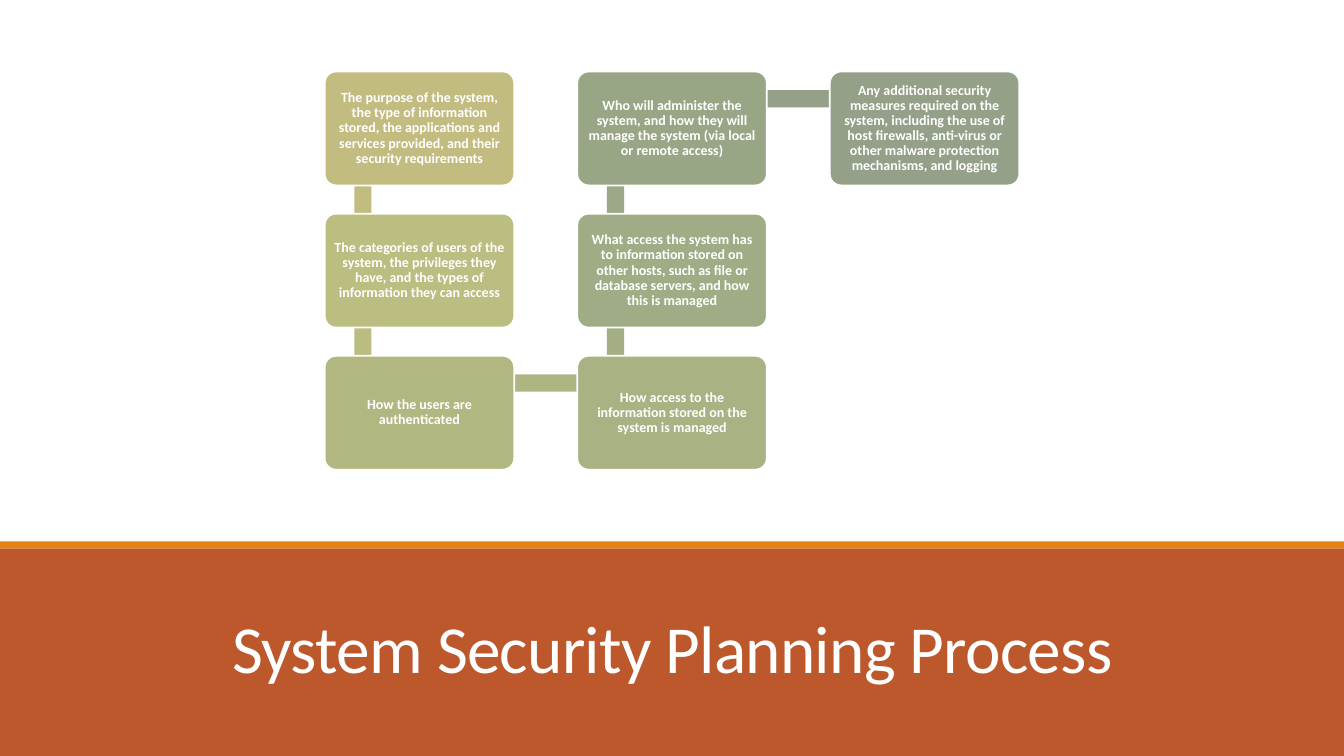
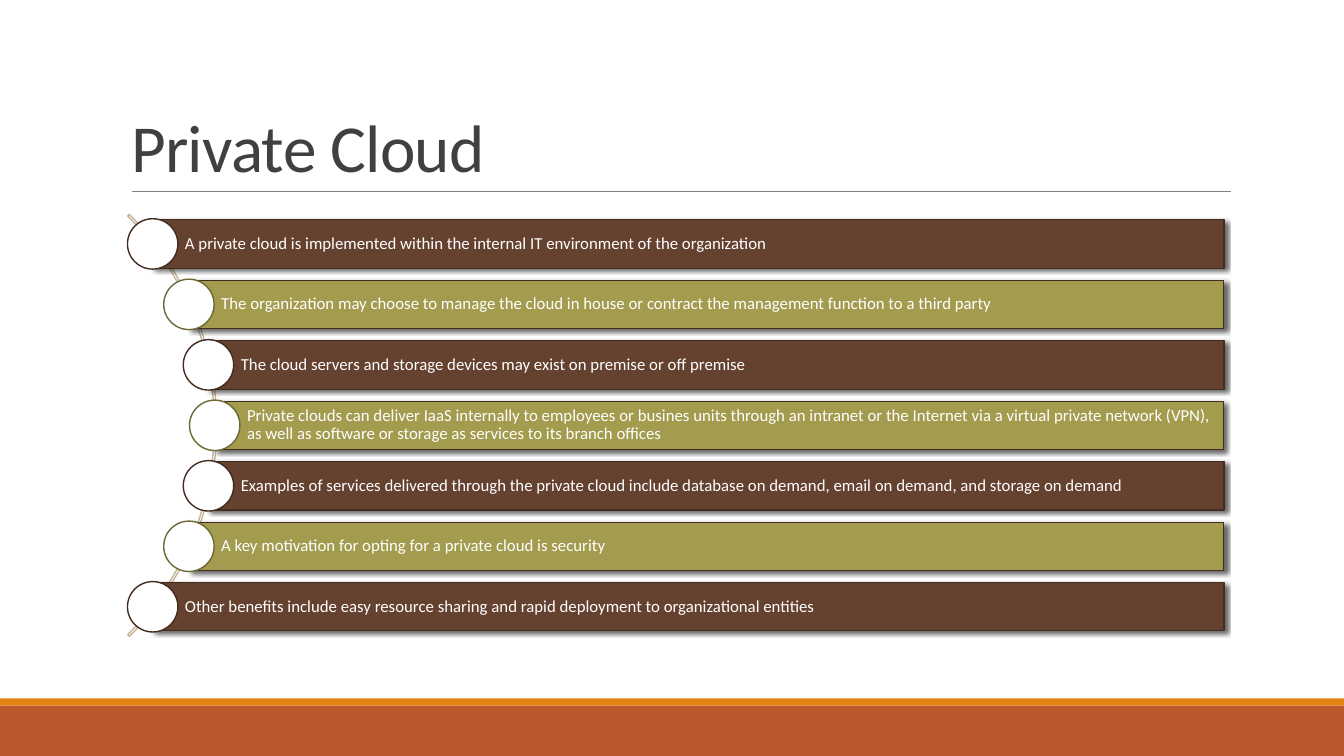
from dataclasses import dataclass
from itertools import pairwise
from math import sqrt

from lxml.etree import SubElement
from pptx import Presentation
from pptx.dml.color import RGBColor
from pptx.enum.shapes import MSO_CONNECTOR, MSO_SHAPE
from pptx.enum.text import MSO_ANCHOR, MSO_AUTO_SIZE, PP_ALIGN
from pptx.oxml.ns import qn
from pptx.util import Inches, Pt


# Shared look
@dataclass(frozen=True)
class Theme:
    font: str = "Calibri"
    title_size: int = 48
    step_size: int = 10
    point_size: int = 12
    white: str = "FFFFFF"
    title: str = "404040"
    band: str = "BD582C"
    stripe: str = "E48312"
    rule: str = "808080"
    arc: str = "C5B598"
    brown: str = "654130"
    olive: str = "A39B4E"
    brown_edge: str = "432B20"
    olive_edge: str = "6D6834"
    shadow: str = "000000"


THEME = Theme()
WIDTH, HEIGHT = 13.33, 7.5
STRIPE_HEIGHT = 0.07

# Planning steps: column, row, box fill, fill of the bar to the next step, text
PLANNING_TITLE = "System Security Planning Process"
PLANNING_STEPS = [
    (0, 0, "C2BC80", "C2BC80", "The purpose of the system, the type of information stored, "
     "the applications and services provided, and their security requirements"),
    (0, 1, "BCBD81", "BABC81", "The categories of users of the system, the privileges they "
     "have, and the types of information they can access"),
    (0, 2, "B2B782", "AEB582", "How the users are authenticated"),
    (1, 2, "A8B283", "A3AE84", "How access to the information stored on the system is managed"),
    (1, 1, "A0AC85", "9BA786", "What access the system has to information stored on other "
     "hosts, such as file or database servers, and how this is managed"),
    (1, 0, "99A686", "94A088", "Who will administer the system, and how they will manage "
     "the system (via local or remote access)"),
    (2, 0, "94A088", None, "Any additional security measures required on the system, "
     "including the use of host firewalls, anti-virus or other malware protection "
     "mechanisms, and logging"),
]

CLOUD_TITLE = "Private Cloud"
CLOUD_POINTS = [
    "A private cloud is implemented within the internal IT environment of the organization",
    "The organization may choose to manage the cloud in house or contract the management "
    "function to a third party",
    "The cloud servers and storage devices may exist on premise or off premise",
    "Private clouds can deliver IaaS internally to employees or busines units through an "
    "intranet or the Internet via a virtual private network (VPN), as well as software or "
    "storage as services to its branch offices",
    "Examples of services delivered through the private cloud include database on demand, "
    "email on demand, and storage on demand",
    "A key motivation for opting for a private cloud is security",
    "Other benefits include easy resource sharing and rapid deployment to organizational "
    "entities",
]


def color(value):
    return RGBColor.from_string(value)


def add_block(slide, kind, box, fill=None, line=None, line_width=1):
    shape = slide.shapes.add_shape(kind, *map(Inches, box))
    shape.shadow.inherit = False
    if fill:
        shape.fill.solid()
        shape.fill.fore_color.rgb = color(fill)
    else:
        shape.fill.background()
    if line:
        shape.line.color.rgb = color(line)
        shape.line.width = Pt(line_width)
    else:
        shape.line.fill.background()
    return shape


def write_text(shape, text, size, font_color, align, anchor, spacing=0.9, insets=None, bold=False):
    frame = shape.text_frame
    frame.word_wrap = True
    frame.auto_size = MSO_AUTO_SIZE.NONE
    frame.vertical_anchor = anchor
    if insets:
        (frame.margin_left, frame.margin_top,
         frame.margin_right, frame.margin_bottom) = map(Inches, insets)
    paragraph = frame.paragraphs[0]
    paragraph.text = text
    paragraph.alignment = align
    paragraph.line_spacing = spacing
    paragraph.font.name = THEME.font
    paragraph.font.size = Pt(size)
    paragraph.font.bold = bold
    paragraph.font.color.rgb = color(font_color)
    return paragraph


def add_shadow(shape):
    effects = shape.element.spPr.find(qn("a:effectLst"))
    shadow = SubElement(effects, qn("a:outerShdw"), blurRad=str(Pt(3)), dist=str(Pt(2)),
                        dir="2700000", algn="tl", rotWithShape="0")
    shade = SubElement(shadow, qn("a:srgbClr"), val=THEME.shadow)
    SubElement(shade, qn("a:alpha"), val="60000")


def add_titled_slide(presentation, title, box, band_top, title_color, align):
    slide = presentation.slides.add_slide(presentation.slide_layouts[5])
    # Bottom band with its stripe
    add_block(slide, MSO_SHAPE.RECTANGLE, (0, band_top, WIDTH, HEIGHT - band_top), THEME.band)
    add_block(slide, MSO_SHAPE.RECTANGLE,
              (0, band_top - STRIPE_HEIGHT, WIDTH, STRIPE_HEIGHT), THEME.stripe)
    # Title, brought in front of the band
    shape = slide.shapes.title
    shape.left, shape.top, shape.width, shape.height = map(Inches, box)
    paragraph = write_text(shape, title, THEME.title_size, title_color, align,
                           MSO_ANCHOR.BOTTOM, spacing=0.85)
    paragraph.runs[0].font._element.set("spc", "-50")
    slide.shapes.element.append(shape.element)
    return slide


def build_planning(presentation):
    slide = add_titled_slide(presentation, PLANNING_TITLE, (1.17, 5.74, 11, 1.13), 5.44,
                             THEME.white, PP_ALIGN.CENTER)
    left, top, column_pitch, row_pitch = 3.22, 0.71, 2.505, 1.41
    box_width, box_height, bar = 1.88, 1.13, 0.17
    joint_x, joint_y = 0.38, 0.27

    def corner(step):
        return left + step[0] * column_pitch, top + step[1] * row_pitch

    # Bars joining each step to the next
    for step, following in pairwise(PLANNING_STEPS):
        (x1, y1), (x2, y2) = corner(step), corner(following)
        bar_box = (min(x1, x2) + joint_x - bar / 2, min(y1, y2) + joint_y - bar / 2,
                   abs(x2 - x1) + bar, abs(y2 - y1) + bar)
        add_block(slide, MSO_SHAPE.RECTANGLE, bar_box, step[3])

    # Step boxes
    for step in PLANNING_STEPS:
        shape = add_block(slide, MSO_SHAPE.ROUNDED_RECTANGLE,
                          (*corner(step), box_width, box_height), step[2], THEME.white, 1.25)
        shape.adjustments[0] = 0.1
        write_text(shape, step[4], THEME.step_size, THEME.white, PP_ALIGN.CENTER,
                   MSO_ANCHOR.MIDDLE, insets=[0.04] * 4, bold=True)


def build_cloud(presentation):
    slide = add_titled_slide(presentation, CLOUD_TITLE, (1.2, 0.31, 11, 1.59), 7,
                             THEME.title, PP_ALIGN.LEFT)
    # Rule under the title
    rule = slide.shapes.add_connector(MSO_CONNECTOR.STRAIGHT,
                                      *map(Inches, (1.31, 1.9, 12.21, 1.9)))
    rule.line.color.rgb = color(THEME.rule)
    rule.line.width = Pt(0.5)
    SubElement(rule.element.spPr, qn("a:effectLst"))

    # Arc the circles sit on
    center_x, center_y, radius = -0.81, 4.22, 2.96
    arc = add_block(slide, MSO_SHAPE.BLOCK_ARC,
                    (center_x - radius, center_y - radius, 2 * radius, 2 * radius),
                    line=THEME.arc)
    for index, value in enumerate((189, 27, 0.004)):
        arc.adjustments[index] = value

    # Bars and circles
    right, pitch, bar_height, circle = 12.14, 0.6, 0.48, 0.5
    circle_radius = 2.94
    styles = [(THEME.brown, THEME.brown_edge), (THEME.olive, THEME.olive_edge)]
    for index, text in enumerate(CLOUD_POINTS):
        offset = (index - (len(CLOUD_POINTS) - 1) / 2) * pitch
        x, y = center_x + sqrt(circle_radius ** 2 - offset ** 2), center_y + offset
        fill, edge = styles[index % 2]
        shape = add_block(slide, MSO_SHAPE.RECTANGLE,
                          (x, y - bar_height / 2, right - x, bar_height),
                          fill, THEME.brown_edge, 0.75)
        add_shadow(shape)
        write_text(shape, text, THEME.point_size, THEME.white, PP_ALIGN.LEFT,
                   MSO_ANCHOR.MIDDLE, insets=(0.32, 0.03, 0.03, 0.03))
        add_block(slide, MSO_SHAPE.OVAL, (x - circle / 2, y - circle / 2, circle, circle),
                  THEME.white, edge)


def main():
    presentation = Presentation()
    presentation.slide_width = Inches(WIDTH)
    presentation.slide_height = Inches(HEIGHT)
    build_planning(presentation)
    build_cloud(presentation)
    presentation.save("out.pptx")


if __name__ == "__main__":
    main()
